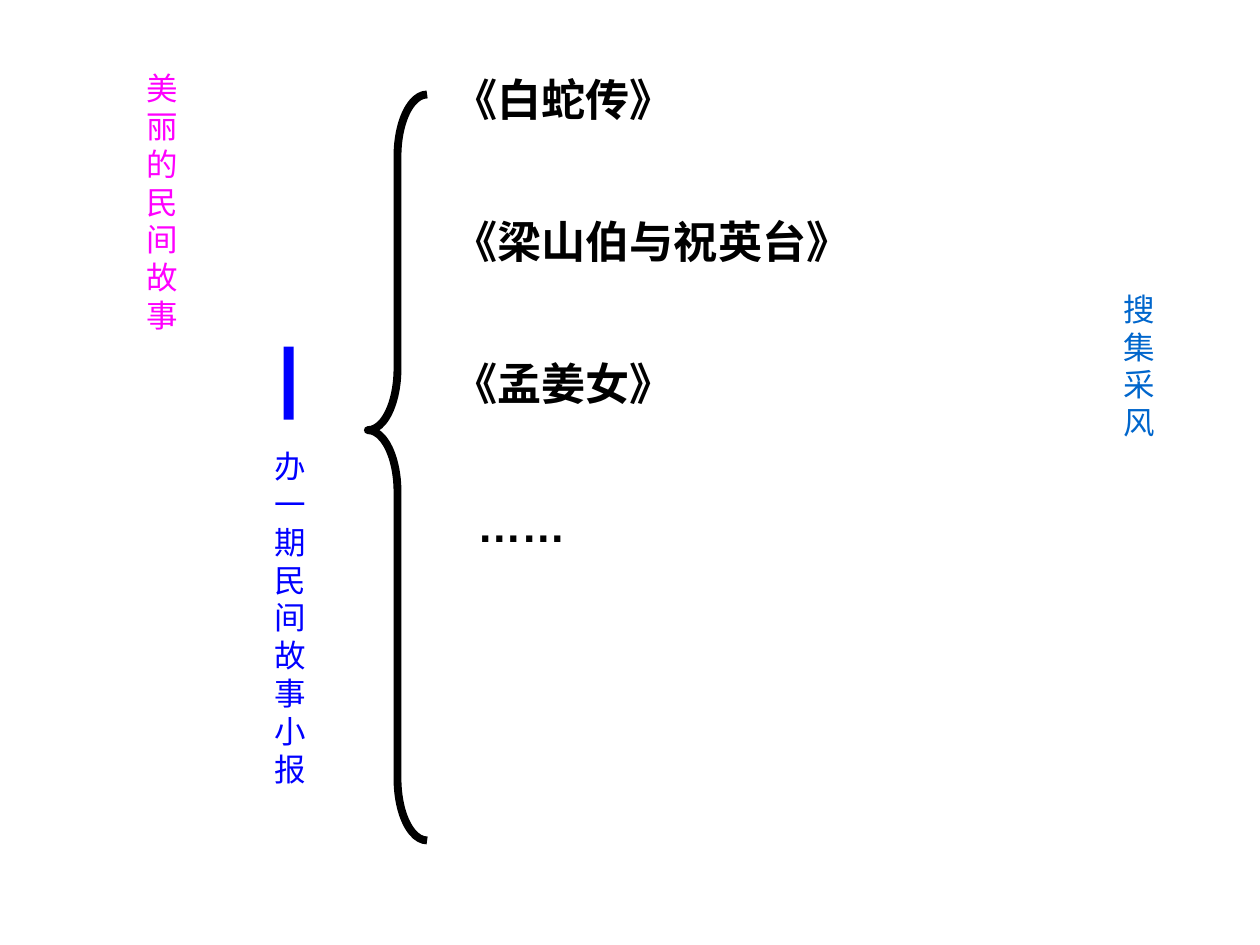
from dataclasses import dataclass

from lxml import etree
from pptx import Presentation
from pptx.dml.color import RGBColor
from pptx.enum.shapes import MSO_SHAPE
from pptx.enum.text import PP_ALIGN
from pptx.oxml.ns import qn
from pptx.util import Inches, Pt

LEFT, CENTER = PP_ALIGN.LEFT, PP_ALIGN.CENTER
RECTANGLE, LEFT_BRACE = MSO_SHAPE.RECTANGLE, MSO_SHAPE.LEFT_BRACE


@dataclass(frozen=True)
class Theme:
    """Colours, fonts and type sizes of the slide."""
    black: RGBColor = RGBColor(0, 0, 0)
    magenta: RGBColor = RGBColor(255, 0, 255)
    blue: RGBColor = RGBColor(0, 0, 255)
    sky: RGBColor = RGBColor(0, 102, 204)
    story_font: str = "Arial"
    column_font: str = "Noto Sans CJK SC"
    story_size: float = 25.2
    column_size: float = 18


THEME = Theme()


def add_text(slide, box, lines, *, font, size, color, bold=False, align=LEFT,
             wrap=True, line_spacing=1.0, gap=0):
    """Add a text box with one paragraph for each line and return its paragraphs."""
    frame = slide.shapes.add_textbox(*map(Inches, box)).text_frame
    frame.word_wrap = wrap
    paragraphs = []
    for index, line in enumerate(lines):
        paragraph = frame.add_paragraph() if index else frame.paragraphs[0]
        paragraph.alignment = align
        paragraph.line_spacing = line_spacing
        paragraph.space_before = Pt(gap if index else 0)
        run = paragraph.add_run()
        run.text = line
        run.font.name, run.font.size, run.font.bold = font, Pt(size), bold
        run.font.color.rgb = color
        etree.SubElement(run.font._element, qn("a:ea")).set("typeface", font)
        paragraphs.append(paragraph)
    return paragraphs


def add_column(slide, box, text, color):
    """Stack the characters of a text from top to bottom."""
    add_text(slide, box, text, font=THEME.column_font, size=THEME.column_size,
             color=color, align=CENTER, wrap=False)


def add_stories(slide, box):
    """List the story titles and indent the closing ellipsis."""
    titles = ["《白蛇传》", "《梁山伯与祝英台》", "《孟姜女》", "……"]
    paragraphs = add_text(slide, box, titles, font=THEME.story_font,
                          size=THEME.story_size, color=THEME.black, bold=True,
                          line_spacing=0.6, gap=63)
    paragraphs[-1]._p.get_or_add_pPr().set("marL", str(Inches(0.19)))


def add_newspaper(slide, box):
    """Place the dash and, below it, the newspaper title."""
    left, top, width, height = box
    dash_box = (left + 0.17, top, 0.08, 0.58)
    dash = slide.shapes.add_shape(RECTANGLE, *map(Inches, dash_box))
    dash.shadow.inherit = False
    dash.fill.solid()
    dash.fill.fore_color.rgb = THEME.blue
    dash.line.fill.background()
    add_column(slide, (left, top + 0.75, width, height - 0.75),
               "办一期民间故事小报", THEME.blue)


def add_brace(slide, box):
    """Draw the brace that gathers the stories."""
    brace = slide.shapes.add_shape(LEFT_BRACE, *map(Inches, box))
    brace.shadow.inherit = False
    brace.adjustments[0] = 1.04
    brace.adjustments[1] = 0.45
    brace.fill.background()
    brace.line.color.rgb = THEME.black
    brace.line.width = Pt(4.5)


def main():
    """Build and save the slide."""
    presentation = Presentation()
    presentation.slide_width, presentation.slide_height = Inches(10), Inches(7.5)
    slide = presentation.slides.add_slide(presentation.slide_layouts[6])
    add_stories(slide, (3.5, 0.67, 5.51, 4.41))
    add_column(slide, (0.83, 0.5, 0.92, 4.83), "美丽的民间故事", THEME.magenta)
    add_column(slide, (8.75, 2.25, 0.58, 3.42), "搜集采风", THEME.sky)
    add_newspaper(slide, (2.08, 2.75, 0.33, 4.25))
    add_brace(slide, (2.92, 0.75, 0.47, 5.92))
    presentation.save("out.pptx")


if __name__ == "__main__":
    main()
